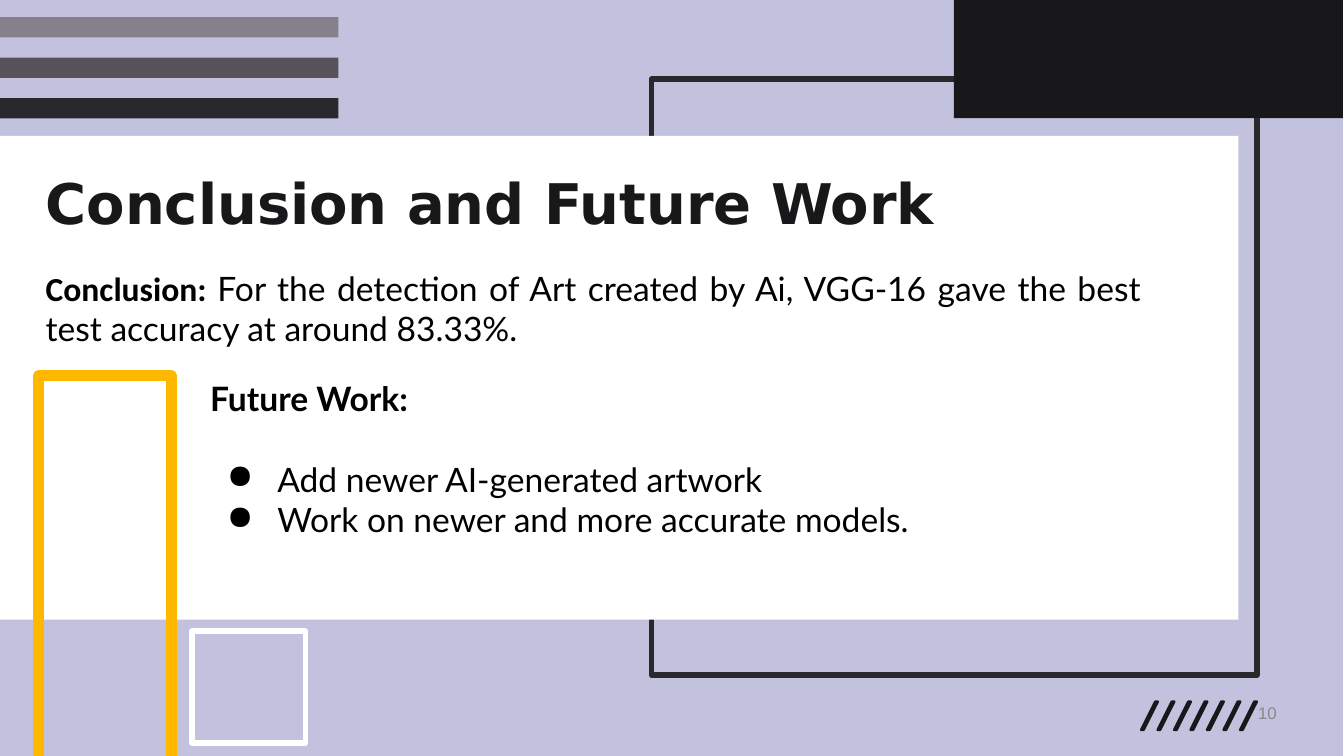
from lxml.etree import SubElement
from pptx import Presentation
from pptx.dml.color import RGBColor
from pptx.enum.shapes import MSO_SHAPE
from pptx.enum.text import PP_ALIGN
from pptx.oxml.ns import qn
from pptx.util import Pt

COLORS = {
    "lavender": "C2C2DF", "white": "FFFFFF", "ink": "18181A", "dark": "29282C",
    "mid": "575259", "light": "86808A", "yellow": "FFB700",
    "black": "000000", "gray": "888888",
}


def color(name):
    return RGBColor.from_string(COLORS[name])


class SlideBuilder:
    """Holds the text style and the current slide."""

    size = 18
    body_font = "Lato"

    def __init__(self, page):
        self.page = page

    def paint(self, shape, fill=None, line=None, weight=1):
        shape.shadow.inherit = False
        if fill:
            shape.fill.solid()
            shape.fill.fore_color.rgb = color(fill)
        else:
            shape.fill.background()
        if line:
            shape.line.color.rgb = color(line)
            shape.line.width = Pt(weight)
            outline = shape._element.spPr.find(qn("a:ln"))
            SubElement(outline, qn("a:round"))
        else:
            shape.line.fill.background()

    def rect(self, left, top, width, height, **look):
        shape = self.page.shapes.add_shape(
            MSO_SHAPE.RECTANGLE, Pt(left), Pt(top), Pt(width), Pt(height))
        self.paint(shape, **look)

    def outline(self, points, close=True, **look):
        first, *rest = [(Pt(x), Pt(y)) for x, y in points]
        builder = self.page.shapes.build_freeform(*first)
        builder.add_line_segments(rest, close=close)
        self.paint(builder.convert_to_shape(), **look)

    def text_box(self, left, top, width, height):
        box = self.page.shapes.add_textbox(Pt(left), Pt(top), Pt(width), Pt(height))
        frame = box.text_frame
        frame.word_wrap = True
        frame.margin_left = frame.margin_right = 0
        frame.margin_top = frame.margin_bottom = 0
        return frame

    def style(self, font, name=None, size=None, ink="black", bold=False):
        font.name = name or self.body_font
        font.size = Pt(size or self.size)
        font.bold = bold
        font.color.rgb = color(ink)

    def paragraph(self, para, text, align=PP_ALIGN.LEFT, **look):
        para.text = text
        para.alignment = align
        self.style(para.font, **look)

    def bullet(self, para, text):
        props = para._p.get_or_add_pPr()
        props.set("marL", str(Pt(36)))
        props.set("indent", str(Pt(-27)))
        tint = SubElement(props, qn("a:buClr"))
        SubElement(tint, qn("a:srgbClr"), val=COLORS["black"])
        SubElement(props, qn("a:buChar"), char="●")
        self.paragraph(para, text, PP_ALIGN.JUSTIFY)


def main():
    deck = Presentation()
    deck.slide_width, deck.slide_height = Pt(720), Pt(405)
    slide = SlideBuilder(deck.slides.add_slide(deck.slide_layouts[6]))

    # Backdrop, dark frame and white panel
    slide.rect(0, 0, 719.5, 405, fill="lavender")
    slide.rect(349, 42.5, 324.3, 319.3, line="dark", weight=3)
    slide.rect(0, 72.8, 663.4, 259.2, fill="white")

    # Row of slashes
    for index in range(7):
        x = 611.4 + 8.84 * index
        slide.outline([(x + 8.8, 375.9), (x + 7.6, 375.9), (x, 391), (x + 1.2, 391)],
                      fill="ink", line="ink", weight=1.47)

    # Stripes and corner block
    for index, shade in enumerate(["light", "mid", "dark"]):
        slide.rect(0, 9.2 + 21.7 * index, 181.3, 10.8, fill=shade)
    slide.rect(511, 0, 208.5, 63.3, fill="ink")

    # Yellow frame open at the bottom, and white square
    slide.outline([(20.8, 405), (20.8, 201.2), (91.7, 201.2), (91.7, 405)],
                  close=False, line="yellow", weight=6)
    slide.rect(102.9, 338.2, 60.8, 60, line="white", weight=3)

    # Title
    title = slide.text_box(24.5, 90.5, 585, 36)
    slide.paragraph(title.paragraphs[0], "Conclusion and Future Work",
                    name="DejaVu Sans", size=30, ink="ink", bold=True)

    # Conclusion
    para = slide.text_box(24.5, 143.3, 587, 44).paragraphs[0]
    para.alignment = PP_ALIGN.JUSTIFY
    for text, name, bold in [
        ("Conclusion: ", "Calibri", True),
        ("For the detection of Art created by Ai, VGG-16 gave the best "
         "test accuracy at around 83.33%.", "Lato", False),
    ]:
        span = para.add_run()
        span.text = text
        slide.style(span.font, name=name, bold=bold)

    # Page number
    number = slide.text_box(518.4, 376.6, 165.6, 10.8)
    slide.paragraph(number.paragraphs[0], "10", PP_ALIGN.RIGHT,
                    name="Arial", size=9, ink="gray")

    # Future work
    future = slide.text_box(112.6, 202.5, 499, 87)
    heading = future.paragraphs[0]
    slide.paragraph(heading, "Future Work:", PP_ALIGN.JUSTIFY, bold=True)
    heading.space_after = Pt(21.6)
    for text in ["Add newer AI-generated artwork",
                 "Work on newer and more accurate models."]:
        slide.bullet(future.add_paragraph(), text)

    deck.save("out.pptx")


if __name__ == "__main__":
    main()
